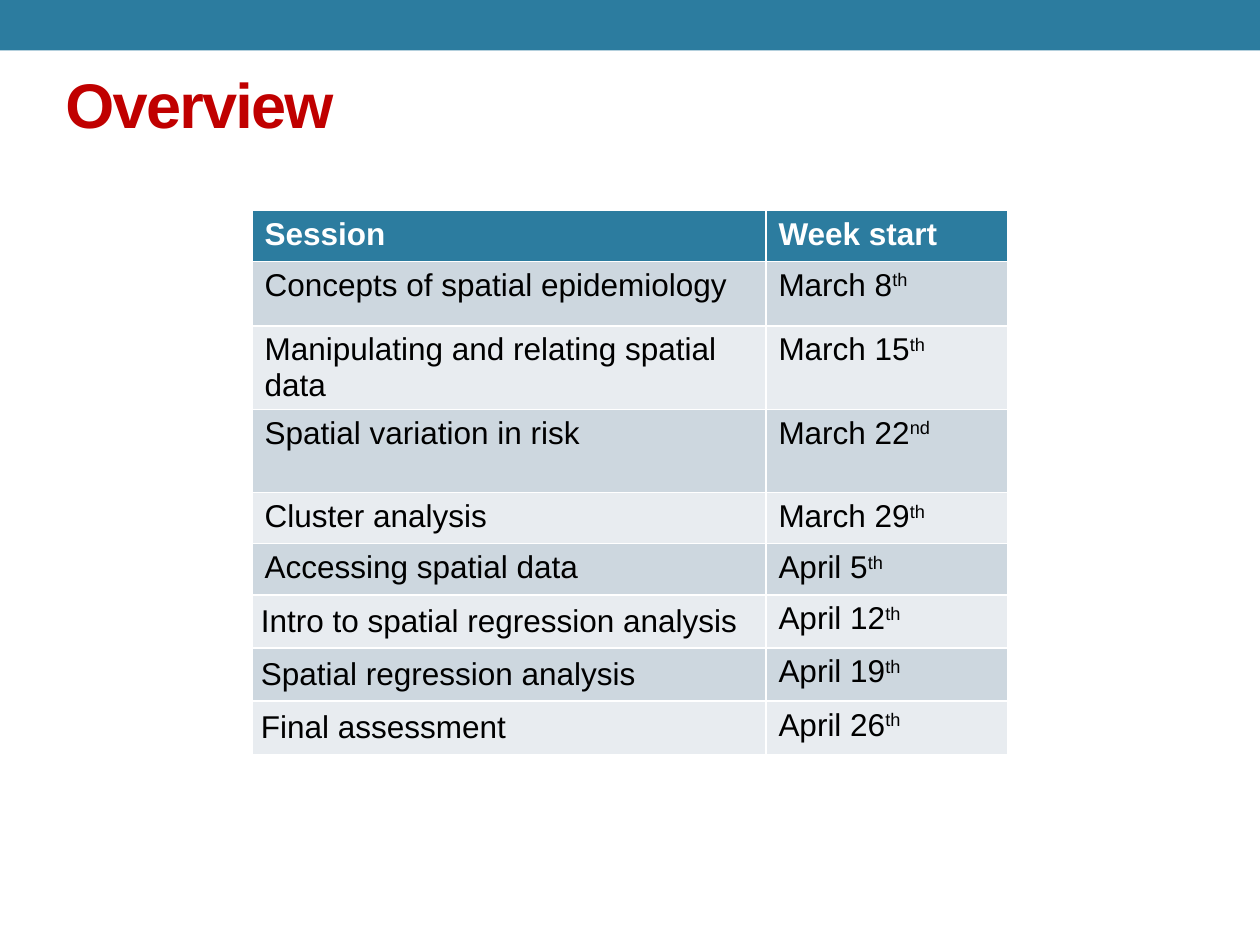
from pptx import Presentation as Deck
from pptx.dml.color import RGBColor as Rgb
from pptx.enum.shapes import MSO_SHAPE as Kind
from pptx.enum.text import MSO_ANCHOR as Anchor
from pptx.util import Cm, Pt

HUES = {"blue": "2C7C9F", "red": "C00000", "white": "FFFFFF",
        "black": "000000", "dark": "CDD7DF", "light": "E8ECF0"}
TITLE = "Overview"
HEAD = ("Session", "Week start")
ROWS = [
    ("Concepts of spatial epidemiology", "March 8", "th", 1.3),
    ("Manipulating and relating spatial data", "March 15", "th", 1.68),
    ("Spatial variation in risk", "March 22", "nd", 1.68),
    ("Cluster analysis", "March 29", "th", 1.03),
    ("Accessing spatial data", "April 5", "th", 1.03),
    ("Intro to spatial regression analysis", "April 12", "th", 1.07),
    ("Spatial regression analysis", "April 19", "th", 1.07),
    ("Final assessment", "April 26", "th", 1.05),
]
WIDTHS = (10.36, 4.88)
TOP = 1.03
INSET = 0.18
TIGHT = 6


def paint(part, hue):
    part.fill.solid()
    part.fill.fore_color.rgb = Rgb.from_string(HUES[hue])


def write(frame, text, size=18, hue="black", bold=False, **marks):
    run = frame.paragraphs[0].add_run()
    run.text = text
    font = run.font
    font.name, font.size, font.bold = "Arial", Pt(size), bold
    font.color.rgb = Rgb.from_string(HUES[hue])
    for key, value in marks.items():
        run._r.get_or_add_rPr().set(key, str(value))


def main():
    deck = Deck()
    deck.slide_width, deck.slide_height = Cm(25.4), Cm(19.05)
    slide = deck.slides.add_slide(deck.slide_layouts[6])
    shapes = slide.shapes

    band = shapes.add_shape(Kind.RECTANGLE, 0, 0, deck.slide_width, Cm(1.02))
    band.shadow.inherit = False
    paint(band, "blue")
    band.line.fill.background()

    high = TOP + sum(row[-1] for row in ROWS)
    grid = shapes.add_table(len(ROWS) + 1, len(HEAD), Cm(5.08), Cm(4.24),
                            Cm(sum(WIDTHS)), Cm(high)).table
    for col, (name, width) in enumerate(zip(HEAD, WIDTHS)):
        grid.columns[col].width = Cm(width)
        cell = grid.cell(0, col)
        paint(cell, "blue")
        write(cell.text_frame, name, hue="white", bold=True)
    grid.rows[0].height = Cm(TOP)

    for num, (topic, date, suffix, height) in enumerate(ROWS, 1):
        grid.rows[num].height = Cm(height)
        left, right = grid.cell(num, 0), grid.cell(num, 1)
        for cell in (left, right):
            paint(cell, "dark" if num % 2 else "light")
        write(left.text_frame, topic)
        write(right.text_frame, date)
        write(right.text_frame, suffix, baseline=30000)
        if num >= TIGHT:
            left.margin_left = left.margin_right = Cm(INSET)
            left.margin_top = left.margin_bottom = Cm(INSET)

    frame = shapes.add_textbox(Cm(1.07), Cm(0.97), Cm(22.86), Cm(2.21)).text_frame
    frame.word_wrap = True
    frame.vertical_anchor = Anchor.MIDDLE
    write(frame, TITLE, size=36, hue="red", bold=True, spc=-100)
    deck.save("out.pptx")


if __name__ == "__main__":
    main()
